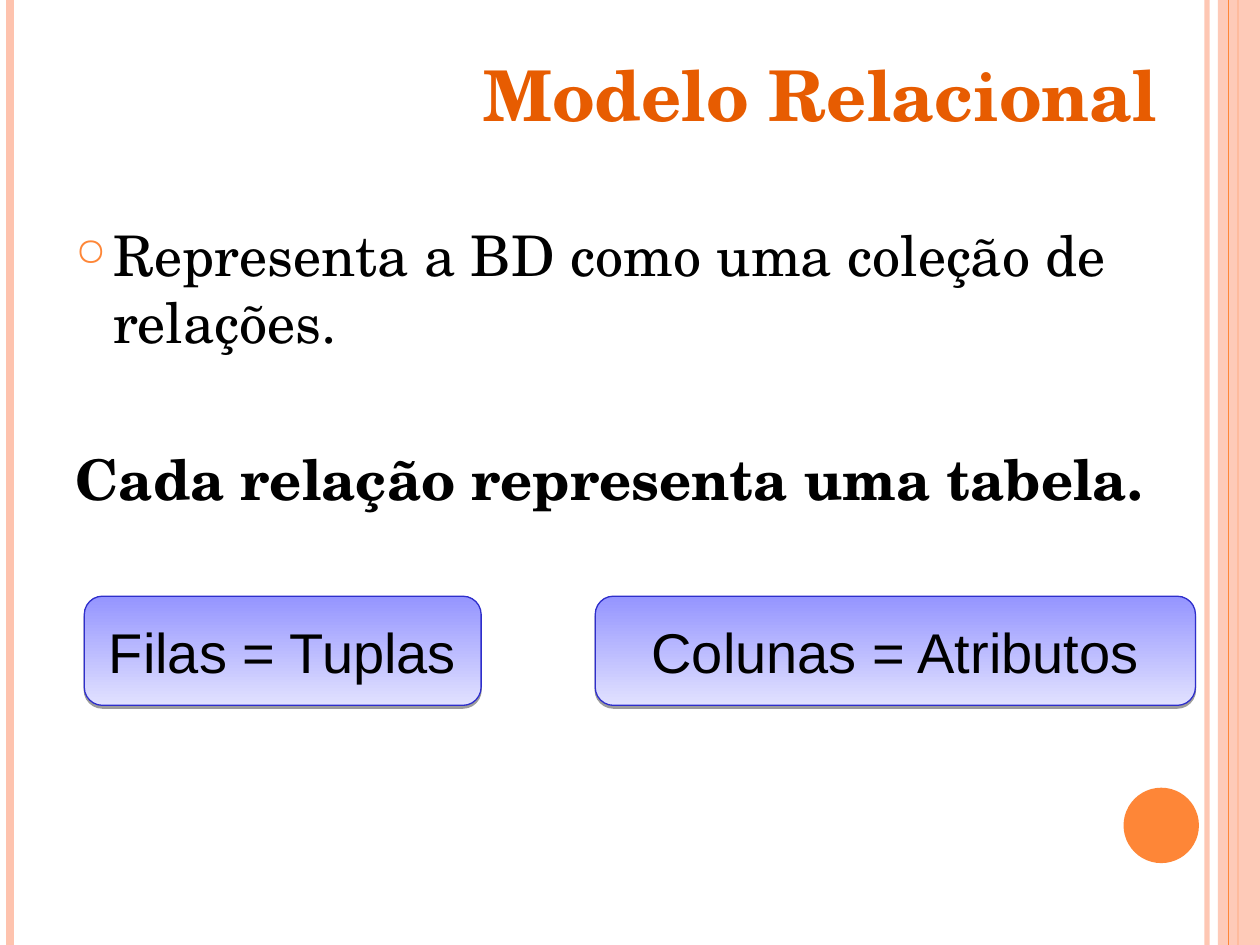
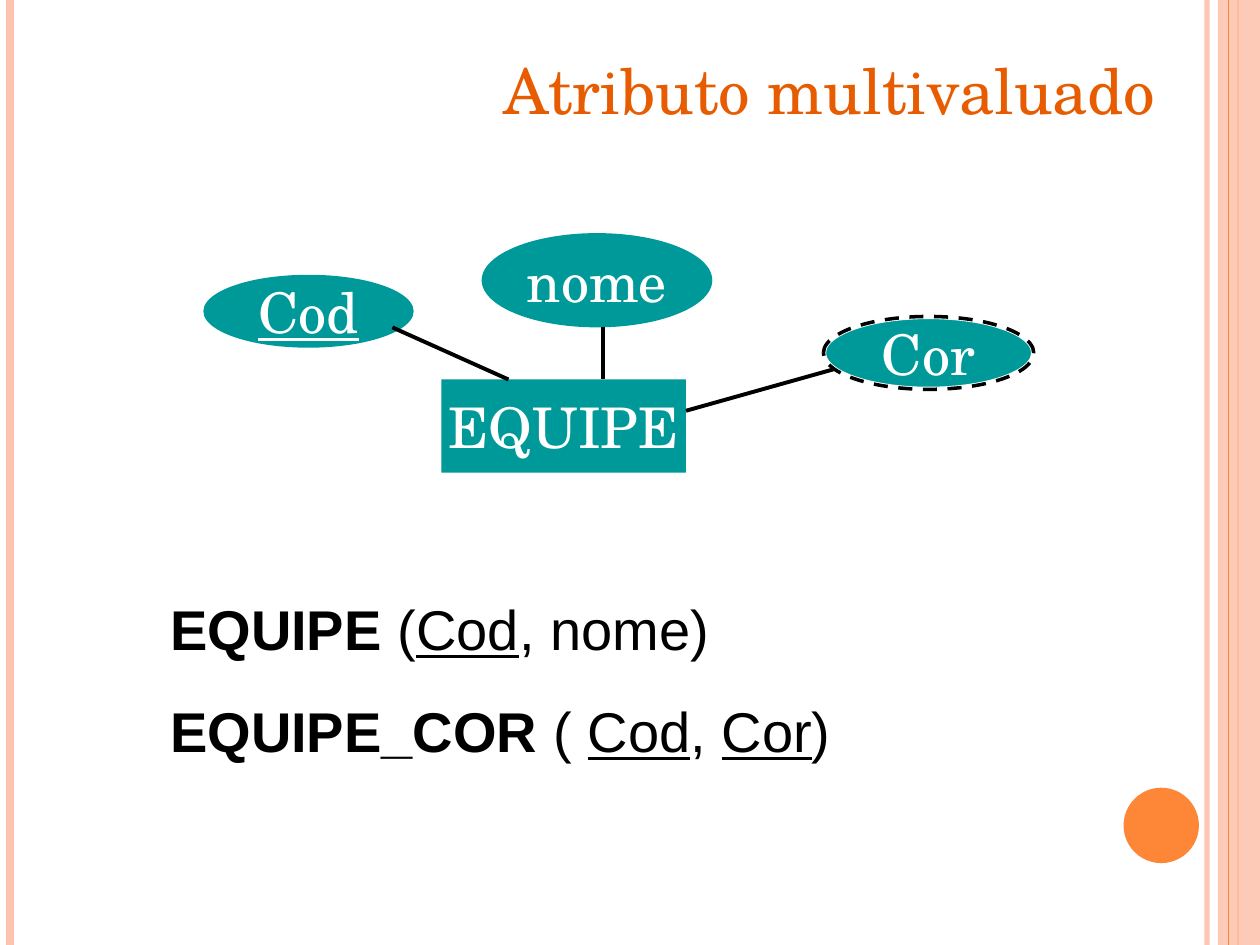
from lxml.etree import SubElement as Sub
from pptx import Presentation
from pptx.dml.color import RGBColor as RGB
from pptx.enum.dml import MSO_LINE as Dash
from pptx.enum.shapes import MSO_CONNECTOR as Conn, MSO_SHAPE as Kind
from pptx.enum.text import MSO_ANCHOR as Anchor, MSO_AUTO_SIZE as Auto, PP_ALIGN as Align
from pptx.oxml.ns import qn
from pptx.util import Cm, Pt

WIDE, HIGH = 25.4, 19.05
PEACH = RGB(0xFE, 0xC3, 0xAE)
ORANGE = RGB(0xFE, 0x86, 0x37)
RUST = RGB(0xE7, 0x5C, 0x01)
TEAL = RGB(0x00, 0x99, 0x99)
PALE = RGB(0xE1, 0xE1, 0xFF)
LILAC = RGB(0x95, 0x95, 0xFF)
BLUE = RGB(0x2E, 0x2E, 0xCB)
BLACK = RGB(0, 0, 0)
WHITE = RGB(0xFF, 0xFF, 0xFF)
SERIF, SANS = "TeX Gyre Schola", "Arial"


def fade(fill, share):
    """Make a solid fill partly transparent; share is the opacity in percent."""
    color = fill._xPr.find(qn("a:solidFill"))[0]
    Sub(color, qn("a:alpha"), val=str(share * 1000))


def style(par, size, color, face=SERIF, bold=False):
    font = par.font
    font.size, font.name, font.bold = Pt(size), face, bold
    font.color.rgb = color


def add_line(slide, start, end, color, width):
    line = slide.shapes.add_connector(Conn.STRAIGHT, *map(Cm, start + end))
    line.line.color.rgb = color
    line.line.width = Pt(width)
    Sub(line._element.spPr, qn("a:effectLst"))
    return line


def add_form(slide, kind, box, fill=None):
    form = slide.shapes.add_shape(kind, *map(Cm, box))
    form.shadow.inherit = False
    form.line.fill.background()
    if fill is None:
        form.fill.background()
    else:
        form.fill.solid()
        form.fill.fore_color.rgb = fill
    return form


def label(form, text, color, face=SERIF, wrap=False):
    frame = form.text_frame
    frame.word_wrap = wrap
    frame.vertical_anchor = Anchor.MIDDLE
    par = frame.paragraphs[0]
    par.text = text
    par.alignment = Align.CENTER
    style(par, 32, color, face)
    return par


def add_box(slide, box, wrap=True):
    frame = slide.shapes.add_textbox(*map(Cm, box)).text_frame
    frame.word_wrap = wrap
    return frame


def add_frame(slide):
    """Draw the side bands and the disc that every slide has."""
    def rule(x, color, width):
        return add_line(slide, (x, 0), (x, HIGH), color, width)

    fade(rule(24.33, PEACH, 3).line.fill, 93)
    rule(0.2, PEACH, 4.5)
    rule(24.96, ORANGE, 1.5)
    band = add_form(slide, Kind.RECTANGLE, (24.55, 0, WIDE - 24.55, HIGH), PEACH)
    fade(band.fill, 87)
    rule(24.77, ORANGE, 0.75)
    add_form(slide, Kind.OVAL, (22.65, 15.88, 1.52, 1.52), ORANGE)


def add_title(slide, text, box, size, bold=False):
    frame = add_box(slide, box, wrap=False)
    frame.auto_size = Auto.SHAPE_TO_FIT_TEXT
    par = frame.paragraphs[0]
    par.text = text
    style(par, size, RUST, bold=bold)


def add_bullet(par):
    props = par._p.get_or_add_pPr()
    props.set("marL", str(Cm(0.76)))
    props.set("indent", str(Cm(-0.76)))
    Sub(Sub(props, qn("a:buClr")), qn("a:srgbClr"), val=str(ORANGE))
    Sub(props, qn("a:buSzPct"), val="70000")
    Sub(props, qn("a:buChar"), char="○")


def add_body(slide, box):
    frame = add_box(slide, box)
    point, claim = frame.paragraphs[0], frame.add_paragraph()
    point.text = "Representa a BD como uma coleção de relações."
    claim.text = "Cada relação representa uma tabela."
    for par, gap, bold in (point, 6, False), (claim, 51, True):
        par.space_before = Pt(gap)
        style(par, 32, BLACK, bold=bold)
    add_bullet(point)


def add_card(slide, text, box):
    card = add_form(slide, Kind.ROUNDED_RECTANGLE, box, PALE)
    card.fill.gradient()
    card.fill.gradient_angle = 90
    for stop, color in zip(card.fill.gradient_stops, (PALE, LILAC)):
        stop.color.rgb = color
    card.line.color.rgb = BLUE
    card.line.width = Pt(0.75)
    effects = card._element.spPr.find(qn("a:effectLst"))
    shade = Sub(effects, qn("a:outerShdw"), blurRad="0", dist=str(Pt(1.6)),
                dir="5400000", rotWithShape="0")
    color = Sub(shade, qn("a:srgbClr"), val=str(BLACK))
    Sub(color, qn("a:alpha"), val="38000")
    label(card, text, BLACK, SANS, wrap=True)


def add_graph(slide, left, top):
    """Draw the entity with its attributes from the given corner."""
    def at(x, y):
        return left + x, top + y

    def node(kind, text, x, y, *size):
        form = add_form(slide, kind, at(x, y) + size, TEAL)
        return form, label(form, text, WHITE)

    def link(start, end):
        add_line(slide, at(*start), at(*end), BLACK, 2.25)

    small = 4.24, 1.47
    node(Kind.RECTANGLE, "EQUIPE", 4.8, 2.95, 4.93, 1.88)
    key = node(Kind.OVAL, "Cod", 0, 0.84, *small)[1]
    key.font.underline = True
    node(Kind.OVAL, "nome", 5.61, 0, 4.65, 1.9)
    link((3.81, 1.9), (6.15, 2.95))
    link((8.05, 1.9), (8.05, 2.95))
    multi = node(Kind.OVAL, "Cor", 12.5, 1.68, *small)[0]
    multi.line.color.rgb = WHITE
    multi.line.width = Pt(3)
    link((12.72, 2.74), (9.73, 3.58))
    ring = add_form(slide, Kind.OVAL, at(12.5, 1.68) + small)
    ring.line.color.rgb = BLACK
    ring.line.width = Pt(2)
    ring.line.dash_style = Dash.DASH


def add_schema(slide, box):
    """Write each relation with its name bold and its keys underlined."""
    rows = (
        ("EQUIPE", (" (", "Cod", ", nome)")),
        ("EQUIPE_COR", (" ( ", "Cod", ", ", "Cor", ")")),
    )
    frame = add_box(slide, box)
    for i, (name, parts) in enumerate(rows):
        par = frame.add_paragraph() if i else frame.paragraphs[0]
        par.space_before = Pt(20)
        style(par, 32, BLACK, SANS)
        head = par.add_run()
        head.text = name
        head.font.bold = True
        for j, part in enumerate(parts):
            run = par.add_run()
            run.text = part
            run.font.underline = j % 2 == 1


def model_slide(slide):
    add_title(slide, "Modelo Relacional", (9.5, 0.91, 14.22, 1.96), 40, bold=True)
    add_body(slide, (1.27, 4.32, 22.63, 7.39))
    for text, x, width in ("Filas = Tuplas", 1.7, 8), ("Colunas = Atributos", 12, 12.1):
        add_card(slide, text, (x, 12.02, width, 2.2))


def multi_slide(slide):
    add_title(slide, "Atributo multivaluado", (9.9, 0.91, 13.82, 1.8), 36)
    add_graph(slide, 4.1, 4.7)
    add_schema(slide, (3.18, 11.86, 19.89, 3.71))


def main():
    deck = Presentation()
    deck.slide_width, deck.slide_height = Cm(WIDE), Cm(HIGH)
    for build in model_slide, multi_slide:
        slide = deck.slides.add_slide(deck.slide_layouts[6])
        add_frame(slide)
        build(slide)
    deck.save("out.pptx")


if __name__ == "__main__":
    main()
